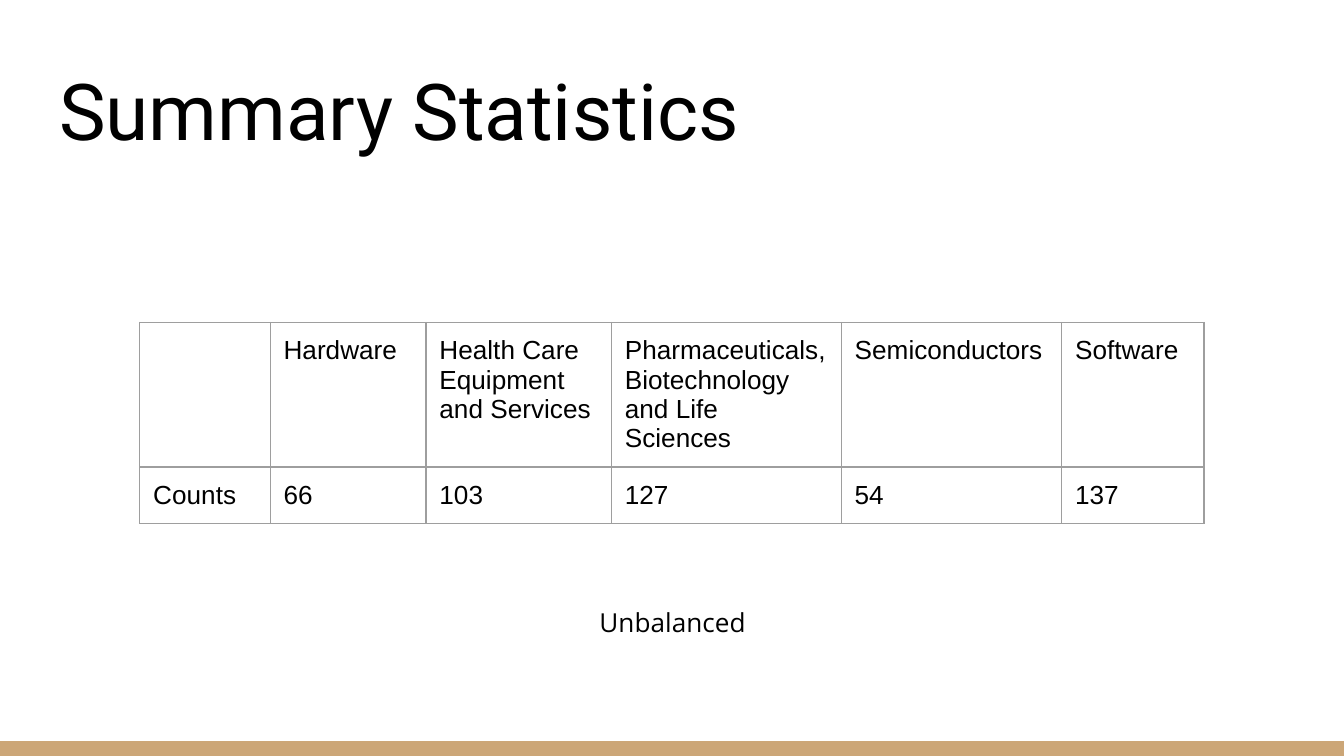
from lxml import etree
from pptx import Presentation
from pptx.dml.color import RGBColor
from pptx.enum.shapes import MSO_SHAPE
from pptx.enum.text import MSO_ANCHOR, MSO_AUTO_SIZE, PP_ALIGN
from pptx.oxml.ns import qn
from pptx.util import Inches, Pt

RECTANGLE = MSO_SHAPE.RECTANGLE
TOP, BOTTOM = MSO_ANCHOR.TOP, MSO_ANCHOR.BOTTOM
LEFT, CENTER = PP_ALIGN.LEFT, PP_ALIGN.CENTER
NO_FIT, GROW = MSO_AUTO_SIZE.NONE, MSO_AUTO_SIZE.SHAPE_TO_FIT_TEXT

THEME = {
    "bar": RGBColor.from_string("CCA677"),
    "border": "9E9E9E",
    "border_width": Pt(0.75),
    "text": RGBColor.from_string("000000"),
    "title": {"name": "Roboto", "size": Pt(42)},
    "table": {"name": "Arial", "size": Pt(14)},
    "note": {"name": "Open Sans", "size": Pt(14)},
}
INSET = Inches(0.1)
MARGINS = {f"margin_{side}": INSET for side in ("left", "right", "top", "bottom")}

COLUMN_WIDTHS = [0.97, 1.16, 1.38, 1.71, 1.64, 1.06]
ROW_HEIGHT = 0.42
ROWS = [
    ["", "Hardware", "Health Care Equipment and Services",
     "Pharmaceuticals, Biotechnology and Life Sciences", "Semiconductors", "Software"],
    ["Counts", "66", "103", "127", "54", "137"],
]


def write(frame, text, style, align, **frame_format):
    for name, value in frame_format.items():
        setattr(frame, name, value)
    para = frame.paragraphs[0]
    para.alignment = align
    for name, value in THEME[style].items():
        setattr(para.font, name, value)
    if text:
        span = para.add_run()
        span.text = text
        for name, value in THEME[style].items():
            setattr(span.font, name, value)
        span.font.color.rgb = THEME["text"]


def add_borders(cell):
    properties = cell._tc.get_or_add_tcPr()
    for position, side in enumerate(("lnL", "lnR", "lnT", "lnB")):
        line = etree.Element(qn(f"a:{side}"), w=str(THEME["border_width"]))
        fill = etree.SubElement(line, qn("a:solidFill"))
        etree.SubElement(fill, qn("a:srgbClr"), val=THEME["border"])
        properties.insert(position, line)


# A 16:9 page
deck = Presentation()
deck.slide_width = Inches(10)
deck.slide_height = deck.slide_width * 9 // 16
page = deck.slides.add_slide(deck.slide_layouts[5])

# Bottom bar
bar_height = Inches(0.11)
bar = page.shapes.add_shape(
    RECTANGLE, 0, deck.slide_height - bar_height, deck.slide_width, bar_height)
bar.shadow.inherit = False
bar.fill.solid()
bar.fill.fore_color.rgb = THEME["bar"]
bar.line.fill.background()

# Title
title = page.shapes.title
title.left, title.top = Inches(0.34), Inches(0.35)
title.width, title.height = Inches(9.32), Inches(0.91)
write(title.text_frame, "Summary Statistics", "title", LEFT, word_wrap=True,
      auto_size=NO_FIT, vertical_anchor=BOTTOM, **MARGINS)

# Table of counts
table = page.shapes.add_table(
    len(ROWS), len(COLUMN_WIDTHS), Inches(1.04), Inches(2.4),
    Inches(sum(COLUMN_WIDTHS)), Inches(ROW_HEIGHT * len(ROWS))).table
table.first_row = table.horz_banding = False
for column, width in zip(table.columns, COLUMN_WIDTHS):
    column.width = Inches(width)
for row, texts in zip(table.rows, ROWS):
    row.height = Inches(ROW_HEIGHT)
    for cell, text in zip(row.cells, texts):
        cell.fill.background()
        add_borders(cell)
        cell.vertical_anchor = TOP
        for name, value in MARGINS.items():
            setattr(cell, name, value)
        write(cell.text_frame, text, "table", LEFT)

# Note below the table
note = page.shapes.add_textbox(Inches(2.02), Inches(4.41), Inches(5.97), Inches(0.44))
write(note.text_frame, "Unbalanced", "note", CENTER, word_wrap=True,
      auto_size=GROW, vertical_anchor=TOP, **MARGINS)

deck.save("out.pptx")
